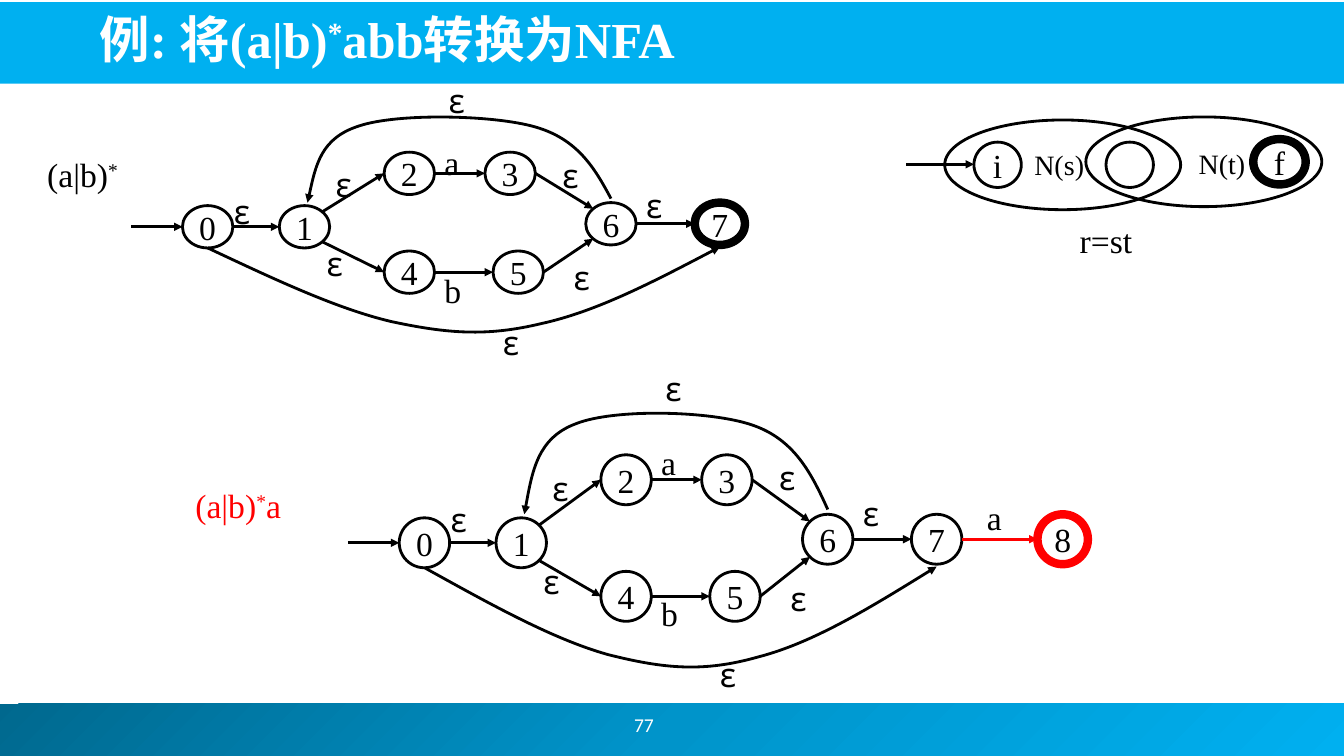
from copy import deepcopy
from dataclasses import dataclass
from math import cos, radians, sin

from pptx import Presentation
from pptx.dml.color import RGBColor
from pptx.enum.shapes import MSO_CONNECTOR, MSO_SHAPE
from pptx.enum.text import MSO_ANCHOR, MSO_AUTO_SIZE, PP_ALIGN
from pptx.oxml import parse_xml
from pptx.oxml.ns import nsdecls, qn
from pptx.util import Inches, Pt


@dataclass(frozen=True)
class Theme:
    black: str = "000000"
    white: str = "FFFFFF"
    red: str = "FF0000"
    sky: str = "00B0F0"
    shades: tuple = ("00688E", "0094CA", "00B0F0")
    serif: str = "Times New Roman"
    greek: str = "Comic Neue"
    sans: str = "Calibri"
    asian: str = "Noto Sans CJK JP"
    title: int = 36
    body: int = 24
    small: int = 20
    page: int = 14
    thin: int = 2
    thick: int = 6


def tag(name, attrs=""):
    return parse_xml(f"<a:{name} {nsdecls('a')} {attrs}/>")


def spot(box, angle):
    left, top, width, height = box
    turn = radians(angle)
    return (left + width / 2 * (1 + cos(turn)),
            top + height / 2 * (1 - sin(turn)))


class Board:
    def __init__(self, slide, theme):
        self.slide, self.theme = slide, theme
        self.shapes = slide.shapes

    def group(self):
        self.shapes = self.slide.shapes.add_group_shape().shapes

    def style(self, run, size, color, face, bold=False):
        font = run.font
        font.size, font.name, font.bold = Pt(size), face, bold
        font.color.rgb = RGBColor.from_string(color)
        props = run._r.get_or_add_rPr()
        props.append(tag("ea", f'typeface="{self.theme.asian}"'))
        if run.text == "*":
            props.set("baseline", "30000")

    def text(self, parts, box, size=None, color=None, face=None, bold=False,
             anchor=MSO_ANCHOR.TOP, grow=True):
        theme = self.theme
        frame = self.shapes.add_textbox(*map(Inches, box)).text_frame
        frame.word_wrap = not grow
        frame.auto_size = (MSO_AUTO_SIZE.SHAPE_TO_FIT_TEXT if grow
                           else MSO_AUTO_SIZE.NONE)
        frame.vertical_anchor = anchor
        line = frame.paragraphs[0]
        line.text = parts[0]
        for part in parts[1:]:
            line.add_run().text = part
        for run in line.runs:
            self.style(run, size or theme.body, color or theme.black,
                       face or theme.serif, bold)

    def sign(self, text, left, top):
        face = self.theme.greek if text == "ε" else self.theme.serif
        self.text([text], (left, top, 0.37 if text == "b" else 0.35, 0.5),
                  face=face)

    def bar(self, box, colors):
        bar = self.shapes.add_shape(MSO_SHAPE.RECTANGLE, *map(Inches, box))
        bar.shadow.inherit = False
        bar.line.fill.background()
        if len(colors) == 1:
            bar.fill.solid()
            bar.fill.fore_color.rgb = RGBColor.from_string(colors[0])
            return
        bar.fill.gradient()
        bar.fill.gradient_angle = 315
        stops = bar._element.spPr.find(".//" + qn("a:gsLst"))
        stops.insert(1, deepcopy(stops[0]))
        for rank, (stop, color) in enumerate(
                zip(bar.fill.gradient_stops, colors)):
            stop.position = rank / (len(colors) - 1)
            stop.color.rgb = RGBColor.from_string(color)

    def ring(self, box, text="", color=None, width=None):
        theme = self.theme
        ring = self.shapes.add_shape(MSO_SHAPE.OVAL, *map(Inches, box))
        ring.shadow.inherit = False
        ring.fill.background()
        ring.line.color.rgb = RGBColor.from_string(color or theme.black)
        ring.line.width = Pt(width or theme.thin)
        if text:
            frame = ring.text_frame
            frame.text = text
            frame.word_wrap = False
            frame.vertical_anchor = MSO_ANCHOR.MIDDLE
            frame.paragraphs[0].alignment = PP_ALIGN.CENTER
            self.style(frame.paragraphs[0].runs[0], theme.body, theme.black,
                       theme.serif)

    def tip(self, shape, color):
        shape.line.color.rgb = RGBColor.from_string(color or self.theme.black)
        shape.line.width = Pt(self.theme.thin)
        props = shape._element.spPr
        props.find(qn("a:ln")).append(tag("tailEnd", 'type="triangle"'))

    def arrow(self, start, end, color=None):
        arrow = self.shapes.add_connector(
            MSO_CONNECTOR.STRAIGHT, *map(Inches, start + end))
        self.tip(arrow, color)
        arrow._element.spPr.append(tag("effectLst"))

    def curve(self, points):
        dots = [(Inches(x), Inches(y)) for x, y in points]
        pen = self.shapes.build_freeform(*dots[0])
        pen.add_line_segments(dots[1:], close=False)
        curve = pen.convert_to_shape()
        curve.shadow.inherit = False
        curve.fill.background()
        self.tip(curve, None)
        steps = list(curve._element.iter(qn("a:lnTo")))
        for first in range(0, len(steps), 3):
            trio = steps[first:first + 3]
            bend = tag("cubicBezTo")
            trio[0].addprevious(bend)
            for step in trio:
                bend.append(step[0])
                step.getparent().remove(step)


NODES = [(1.81, 2.04), (2.77, 2.04), (3.81, 1.51), (4.81, 1.51),
         (3.81, 2.49), (4.89, 2.49), (5.81, 2.01), (6.89, 2.01)]
EDGES = [(0, 0, 1, 180), (1, 45, 2, 180), (1, -45, 4, 180), (2, 0, 3, 180),
         (4, 0, 5, 180), (3, 0, 6, 135), (5, 0, 6, 225), (6, 0, 7, 180)]
SIGNS = [("ε", 3.23, 1.58), ("ε", 5.48, 1.49), ("ε", 5.59, 2.5),
         ("ε", 3.14, 2.36), ("b", 4.31, 2.63), ("a", 4.31, 1.36),
         ("ε", 2.22, 1.84), ("ε", 6.31, 1.79), ("ε", 4.35, 0.74),
         ("ε", 4.89, 3.14)]
CURVES = [
    [(6.06, 1.97), (5.9, 1.67), (5.73, 1.38), (5.31, 1.26), (4.9, 1.14),
     (3.94, 1.12), (3.56, 1.25), (3.18, 1.37), (3.12, 1.69), (3.05, 2.01)],
    [(2.06, 2.46), (2.7, 2.76), (3.33, 3.06), (3.88, 3.19), (4.44, 3.31),
     (4.83, 3.34), (5.37, 3.21), (5.92, 3.09), (6.53, 2.77), (7.14, 2.45)],
]


def graph(board, right=0, down=0, scale=1, final=None):
    def place(x, y):
        return x + right, y * scale + down

    board.group()
    boxes = [(*place(*node), 0.5, 0.42 * scale) for node in NODES]
    for rank, box in enumerate(boxes):
        width = board.theme.thick if rank == final else None
        board.ring(box, str(rank), width=width)
    board.arrow(place(1.3, 2.25), spot(boxes[0], 180))
    for tail, out, head, into in EDGES:
        board.arrow(spot(boxes[tail], out), spot(boxes[head], into))
    for points in CURVES:
        board.curve([place(*point) for point in points])
    for text, x, y in SIGNS:
        board.sign(text, *place(x, y))
    return boxes


def main():
    deck = Presentation()
    deck.slide_width, deck.slide_height = Inches(13.33), Inches(7.5)
    theme = Theme()
    board = Board(deck.slides.add_slide(deck.slide_layouts[6]), theme)

    board.bar((-0.05, 6.98, 13.39, 0.52), theme.shades)
    board.bar((-0.02, 0.02, 13.36, 0.81), [theme.sky])
    board.text(["例", ": 将(a|b)", "*", "abb转换为NFA"],
               (0.89, 0.05, 11.33, 0.68), theme.title, theme.white,
               bold=True, anchor=MSO_ANCHOR.BOTTOM, grow=False)
    board.text(["77"], (6.19, 6.94, 2.89, 0.5), theme.page, theme.white,
               theme.sans, anchor=MSO_ANCHOR.MIDDLE, grow=False)
    board.text(["(a|b)", "*"], (0.37, 1.48, 0.92, 0.5))
    board.text(["(a|b)", "*", "a"], (1.84, 4.76, 1.07, 0.5), color=theme.red)

    graph(board, final=7)

    board.group()
    board.text(["r=st"], (10.61, 2.13, 0.73, 0.5))
    board.ring((9.37, 1.19, 2.34, 0.89))
    board.ring((10.77, 1.16, 2.34, 0.89))
    board.ring((9.66, 1.41, 0.47, 0.45), "i")
    board.ring((10.97, 1.41, 0.47, 0.45))
    board.ring((12.43, 1.38, 0.52, 0.45), "f", width=theme.thick)
    board.text(["N(s)"], (10.16, 1.41, 0.7, 0.44), theme.small)
    board.text(["N(t)"], (11.79, 1.4, 0.67, 0.44), theme.small)
    board.arrow((8.99, 1.63), (9.66, 1.63))

    boxes = graph(board, right=2.15, down=2.73, scale=1.18)
    last = (10.29, *boxes[7][1:])
    board.ring(last, "8", theme.red, theme.thick)
    board.arrow(spot(boxes[7], 0), spot(last, 180), theme.red)
    board.sign("a", 9.69, 4.88)

    deck.save("out.pptx")


if __name__ == "__main__":
    main()
